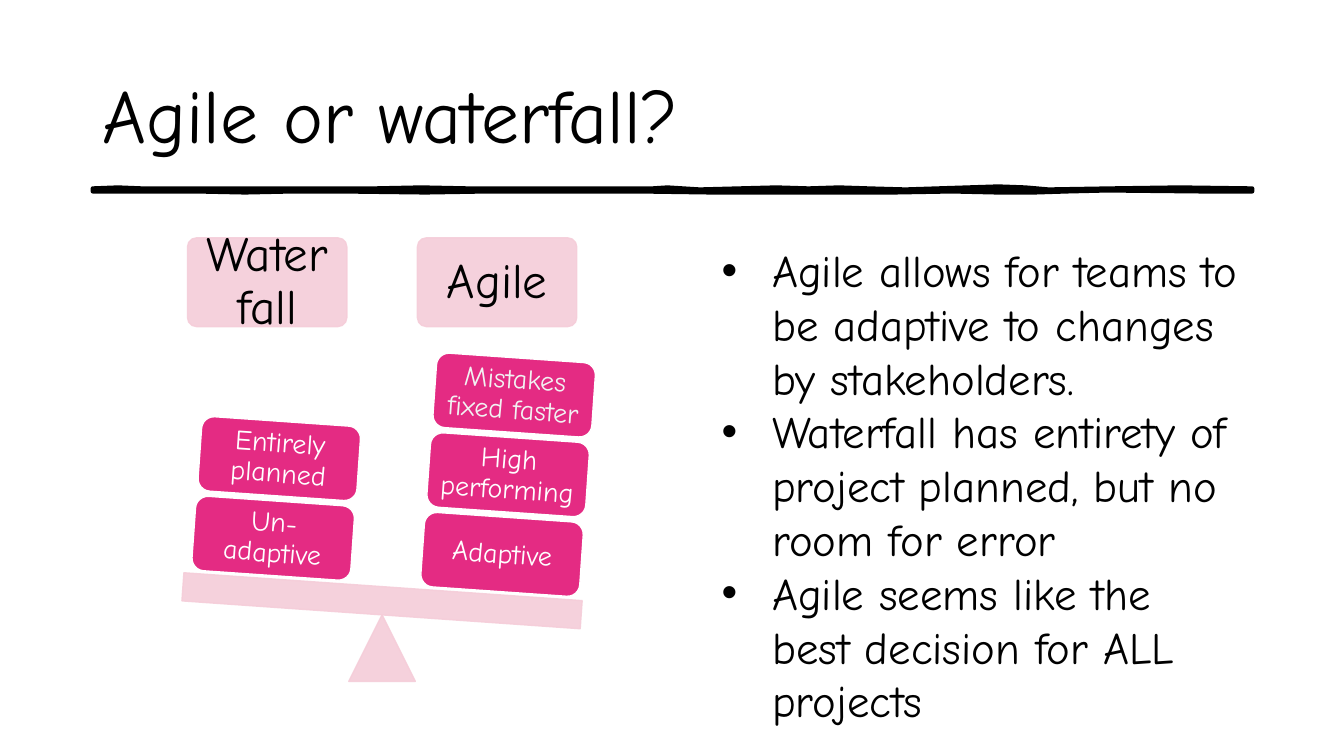
from pptx import Presentation
from pptx.dml.color import RGBColor
from pptx.enum.shapes import MSO_SHAPE
from pptx.enum.text import MSO_ANCHOR, PP_ALIGN
from pptx.oxml.ns import qn
from pptx.util import Pt
from lxml.etree import SubElement

PX = 9144
FONT = "Comic Neue"
COLORS = {"ink": "000000", "pale": "F5CDD9", "pink": "E42B83", "white": "FFFFFF", "soft": "F2F2F2"}

TITLE = "Agile or waterfall?"
HEADINGS = ["Waterfall", "Agile"]
STACKS = [
    {"base": (192, 497), "blocks": [("Un-adaptive", "white"), ("Entirely planned", "white")]},
    {"base": (419, 513), "blocks": [("Adaptive", "white"), ("High performing", "white"),
                                    ("Mistakes fixed faster", "soft")]},
]
POINTS = [
    "Agile allows for teams to be adaptive to changes by stakeholders.",
    "Waterfall has entirety of project planned, but no room for error",
    "Agile seems like the best decision for ALL projects",
]
BRUSH_TOP = [(92, 187), (117, 186), (141, 187), (296, 187), (371, 187), (418, 186), (465, 187),
             (575, 187), (647, 187), (662, 186), (694, 188), (770, 186), (802, 187), (832, 186),
             (862, 187), (898, 188), (960, 186), (990, 185), (1017, 186), (1040, 188),
             (1101, 187), (1170, 186), (1242, 187)]
BRUSH_BOTTOM = [(1242, 190), (1193, 190), (1098, 189), (1058, 190), (1026, 191), (989, 191),
                (944, 190), (886, 191), (826, 191), (766, 191), (706, 191), (634, 190),
                (592, 190), (483, 190), (422, 191), (339, 190), (290, 190), (243, 191),
                (195, 190), (92, 190)]

HEADING_LEFT, HEADING_TOP, HEADING_GAP = 186, 236, 228
BLOCK_STEP = (6, -79)
TILT = 4


def color(name):
    return RGBColor.from_string(COLORS[name])


def place(page, kind, left, top, width, height, fill, line, alpha=None):
    box = page.shapes.add_shape(kind, left * PX, top * PX, width * PX, height * PX)
    box.shadow.inherit = False
    box.fill.solid()
    box.fill.fore_color.rgb = color(fill)
    box.line.color.rgb = color(line)
    box.line.width = Pt(1)
    if alpha:
        for tone in box.element.spPr.iter(qn("a:srgbClr")):
            SubElement(tone, qn("a:alpha")).set("val", str(alpha * 1000))
    return box


def set_frame(box, anchor, inset=None):
    frame = box.text_frame
    frame.word_wrap = True
    frame.vertical_anchor = anchor
    if inset is not None:
        frame.margin_left = frame.margin_right = inset * PX
        frame.margin_top = frame.margin_bottom = inset * PX
    return frame


def write(para, text, size, tone="ink"):
    span = para.add_run()
    span.text = text
    span.font.name = FONT
    span.font.size = Pt(size)
    span.font.color.rgb = color(tone)


def label(box, text, size, tone, inset):
    para = set_frame(box, MSO_ANCHOR.MIDDLE, inset).paragraphs[0]
    para.alignment = PP_ALIGN.CENTER
    para.line_spacing = 0.9
    write(para, text, size, tone)


def add_text_box(page, left, top, width, height, anchor):
    box = page.shapes.add_textbox(left * PX, top * PX, width * PX, height * PX)
    return set_frame(box, anchor)


def add_title(page):
    frame = add_text_box(page, 92, 40, 1150, 145, MSO_ANCHOR.MIDDLE)
    write(frame.paragraphs[0], TITLE, 54)
    outline = page.shapes.build_freeform(*BRUSH_TOP[0], scale=PX)
    outline.add_line_segments(BRUSH_TOP[1:] + BRUSH_BOTTOM, close=True)
    brush = outline.convert_to_shape()
    brush.shadow.inherit = False
    brush.fill.solid()
    brush.fill.fore_color.rgb = color("ink")
    brush.line.color.rgb = color("ink")
    brush.line.width = Pt(3)


def add_balance(page):
    for index, heading in enumerate(HEADINGS):
        box = place(page, MSO_SHAPE.ROUNDED_RECTANGLE, HEADING_LEFT + index * HEADING_GAP,
                    HEADING_TOP, 158, 88, "pale", "pale", 90)
        box.adjustments[0] = 0.1
        label(box, heading, 35, "ink", 15)
    place(page, MSO_SHAPE.ISOSCELES_TRIANGLE, 346, 610, 66, 66, "pale", "pale", 90)
    beam = place(page, MSO_SHAPE.RECTANGLE, 181, 582, 396, 28, "pale", "pale", 90)
    beam.rotation = TILT
    for stack in STACKS:
        left, top = stack["base"]
        for level, (text, tone) in enumerate(stack["blocks"]):
            block = place(page, MSO_SHAPE.ROUNDED_RECTANGLE, left + level * BLOCK_STEP[0],
                          top + level * BLOCK_STEP[1], 158, 74, "pink", "white")
            block.rotation = TILT
            label(block, text, 20, tone, 8)


def add_points(page):
    frame = add_text_box(page, 706, 236, 536, 387, MSO_ANCHOR.TOP)
    for index, text in enumerate(POINTS):
        para = frame.add_paragraph() if index else frame.paragraphs[0]
        write(para, text, 32)
        props = para._p.get_or_add_pPr()
        props.set("marL", str(50 * PX))
        props.set("indent", str(-50 * PX))
        SubElement(props, qn("a:buFont")).set("typeface", "Arial")
        SubElement(props, qn("a:buChar")).set("char", "•")


def main():
    deck = Presentation()
    deck.slide_width = 1333 * PX
    deck.slide_height = 750 * PX
    page = deck.slides.add_slide(deck.slide_layouts[6])
    add_title(page)
    add_balance(page)
    add_points(page)
    deck.save("out.pptx")


if __name__ == "__main__":
    main()
